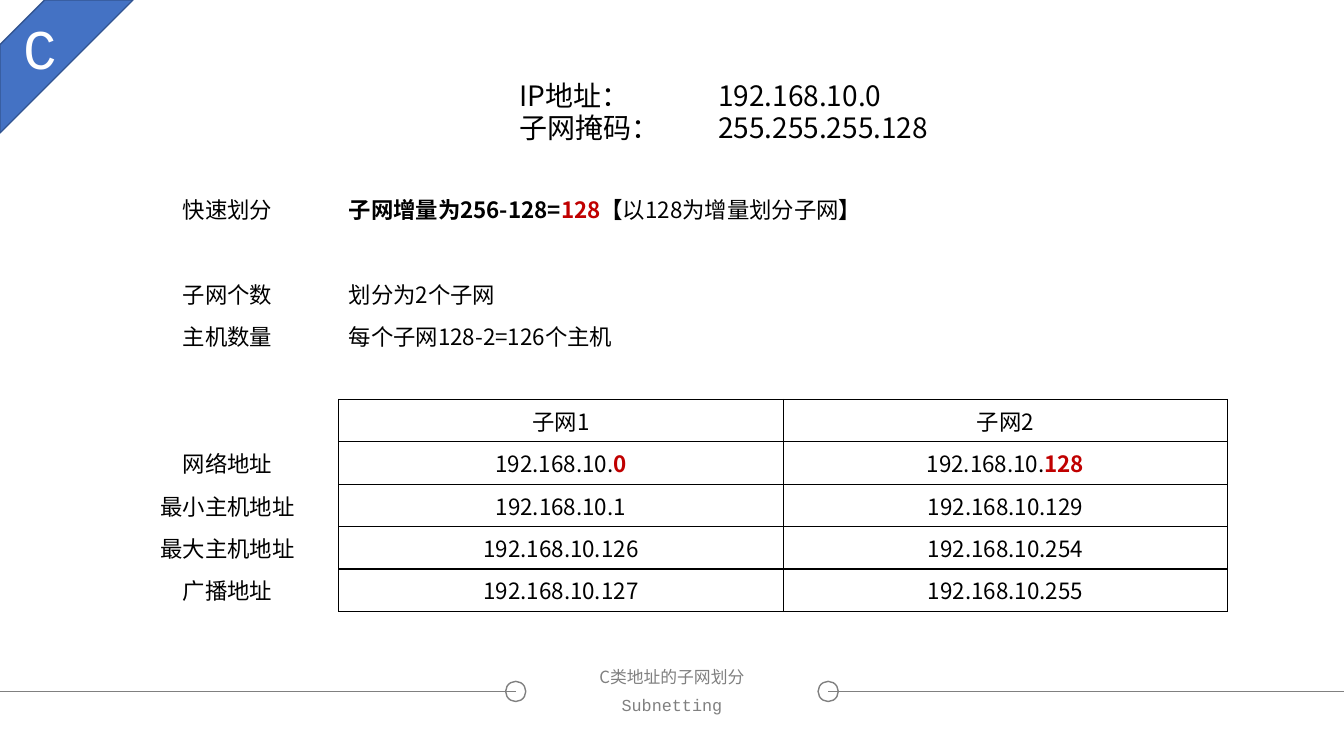
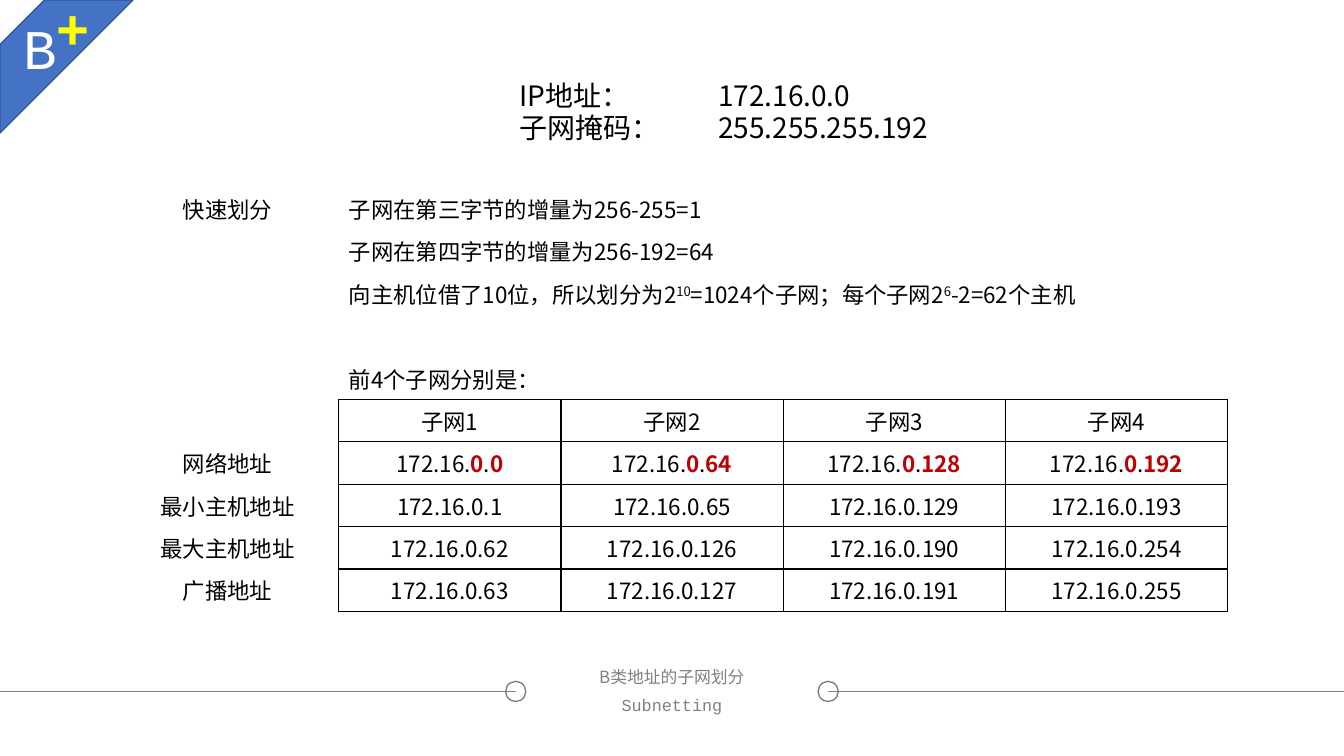
from dataclasses import dataclass

import pptx
import pptx.dml.color
import pptx.enum.dml
import pptx.enum.shapes
import pptx.enum.text
import pptx.oxml.ns
import pptx.presentation
import pptx.shapes.autoshape
import pptx.slide
import pptx.table
import pptx.text.text
import pptx.util
from lxml import etree

Pt = pptx.util.Pt
RGBColor = pptx.dml.color.RGBColor
ShapeType = pptx.enum.shapes.MSO_SHAPE
Align = pptx.enum.text.PP_ALIGN
Anchor = pptx.enum.text.MSO_ANCHOR
qn = pptx.oxml.ns.qn

BLACK = RGBColor(0x00, 0x00, 0x00)
WHITE = RGBColor(0xFF, 0xFF, 0xFF)
GRAY = RGBColor(0x80, 0x80, 0x80)
RED = RGBColor(0xC0, 0x00, 0x00)
YELLOW = RGBColor(0xFF, 0xFF, 0x00)
BLUE = RGBColor(0x44, 0x72, 0xC4)
DARK_BLUE = RGBColor(0x32, 0x54, 0x91)

TEXT_FONT = "Noto Sans CJK SC"
CODE_FONT = "Courier New"

SLIDE_WIDTH, SLIDE_HEIGHT = 960, 540
TABLE_LEFT, TABLE_TOP = 83.2, 134
COLUMN_WIDTH, ROW_HEIGHT = 158.75, 30.3
COLUMN_COUNT, ROW_COUNT = 5, 10
GRID_ROW = 5
ROW_LABELS = ("网络地址", "最小主机地址", "最大主机地址", "广播地址")


@dataclass(frozen=True)
class Span:
    text: str
    color: RGBColor = BLACK
    bold: bool = False
    superscript: bool = False


@dataclass(frozen=True)
class Note:
    row: int
    label: str
    spans: tuple[Span, ...]


@dataclass(frozen=True)
class SubnetSlide:
    letter: str
    plus: bool
    address: str
    mask: str
    increment: int
    subnet_count: int
    plain_octets: int
    notes: tuple[Note, ...]


SUBNET_SLIDES = (
    SubnetSlide("C", False, "192.168.10.0", "255.255.255.128", 128, 2, 3, (
        Note(0, "快速划分", (
            Span("子网增量为256-128=", bold=True),
            Span("128", RED, bold=True),
            Span("【", bold=True),
            Span("以128为增量划分子网"),
            Span("】", bold=True),
        )),
        Note(2, "子网个数", (Span("划分为2个子网"),)),
        Note(3, "主机数量", (Span("每个子网128-2=126个主机"),)),
    )),
    SubnetSlide("B", True, "172.16.0.0", "255.255.255.192", 64, 4, 2, (
        Note(0, "快速划分", (Span("子网在第三字节的增量为256-255=1"),)),
        Note(1, "", (Span("子网在第四字节的增量为256-192=64"),)),
        Note(2, "", (
            Span("向主机位借了10位，所以划分为2"),
            Span("10", superscript=True),
            Span("=1024个子网；每个子网2"),
            Span("6", superscript=True),
            Span("-2=62个主机"),
        )),
        Note(4, "", (Span("前4个子网分别是："),)),
    )),
)


def format_run(run: pptx.text.text._Run, size: float, color: RGBColor,
               font_name: str = TEXT_FONT, bold: bool = False) -> None:
    run.font.size = Pt(size)
    run.font.bold = bold
    run.font.color.rgb = color
    run.font.name = font_name
    properties = run._r.get_or_add_rPr()
    etree.SubElement(properties, qn("a:ea")).set("typeface", font_name)


def set_margins(text_frame: pptx.text.text.TextFrame, margin: float) -> None:
    text_frame.margin_left = text_frame.margin_right = Pt(margin)
    text_frame.margin_top = text_frame.margin_bottom = Pt(margin)


def fill_label(shape: pptx.shapes.autoshape.Shape, text: str, size: float,
               color: RGBColor, font_name: str, bold: bool = False) -> None:
    text_frame = shape.text_frame
    text_frame.text = text
    text_frame.word_wrap = True
    text_frame.auto_size = pptx.enum.text.MSO_AUTO_SIZE.NONE
    text_frame.vertical_anchor = Anchor.MIDDLE
    set_margins(text_frame, 0)
    paragraph = text_frame.paragraphs[0]
    paragraph.alignment = Align.CENTER
    paragraph.space_before = Pt(0)
    format_run(paragraph.runs[0], size, color, font_name, bold)


def add_footer(slide: pptx.slide.Slide, title_text: str) -> None:
    line_y, ring_size, ring_offset = 493.9, 14.4, 111.6
    center = SLIDE_WIDTH / 2
    for ring_x, edge_x in ((center - ring_offset, 0),
                           (center + ring_offset, SLIDE_WIDTH)):
        ring = slide.shapes.add_shape(
            ShapeType.OVAL, Pt(ring_x - ring_size / 2),
            Pt(line_y - ring_size / 2), Pt(ring_size), Pt(ring_size))
        ring.shadow.inherit = False
        ring.fill.background()
        ring.line.color.rgb = GRAY
        ring.line.width = Pt(1)
        rule = slide.shapes.add_connector(
            pptx.enum.shapes.MSO_CONNECTOR.STRAIGHT,
            Pt(ring_x), Pt(line_y), Pt(edge_x), Pt(line_y))
        rule.line.color.rgb = GRAY
        rule.line.width = Pt(0.5)
        etree.SubElement(rule._element.spPr, qn("a:effectLst"))

    title = slide.shapes.title
    title.left, title.top = Pt(375), Pt(473.2)
    title.width, title.height = Pt(210), Pt(20)
    fill_label(title, title_text, 12, GRAY, TEXT_FONT)
    subtitle = slide.shapes.add_textbox(Pt(375), Pt(494), Pt(210), Pt(19.4))
    fill_label(subtitle, "Subnetting", 12, GRAY, CODE_FONT)


def add_badge(slide: pptx.slide.Slide, content: SubnetSlide) -> None:
    stripe = slide.shapes.add_shape(
        ShapeType.DIAGONAL_STRIPE, Pt(0), Pt(0), Pt(95), Pt(95))
    stripe.adjustments[0] = 0.336
    stripe.shadow.inherit = False
    stripe.fill.solid()
    stripe.fill.fore_color.rgb = BLUE
    stripe.line.color.rgb = DARK_BLUE
    stripe.line.width = Pt(1)
    letter = slide.shapes.add_textbox(Pt(9.4), Pt(5.8), Pt(38.9), Pt(55.4))
    fill_label(letter, content.letter, 40, WHITE, CODE_FONT)
    if content.plus:
        plus = slide.shapes.add_textbox(Pt(32.4), Pt(-8.6), Pt(38.9), Pt(55.4))
        fill_label(plus, "+", 40, YELLOW, CODE_FONT, bold=True)


def add_address_header(slide: pptx.slide.Slide, content: SubnetSlide) -> None:
    header = slide.shapes.add_textbox(Pt(364), Pt(52.8), Pt(315), Pt(55.4))
    text_frame = header.text_frame
    text_frame.word_wrap = True
    text_frame.text = (f"IP地址：\t{content.address}\n"
                       f"子网掩码：\t{content.mask}")
    for paragraph in text_frame.paragraphs:
        paragraph.line_spacing = Pt(23.4)
        tabs = etree.SubElement(paragraph._p.get_or_add_pPr(), qn("a:tabLst"))
        tab = etree.SubElement(tabs, qn("a:tab"))
        tab.set("pos", str(int(Pt(141.8))))
        tab.set("algn", "l")
        for run in paragraph.runs:
            format_run(run, 20, BLACK)


def fill_cell(cell: pptx.table._Cell, spans: tuple[Span, ...],
              alignment: Align = Align.CENTER) -> None:
    paragraph = cell.text_frame.paragraphs[0]
    paragraph.alignment = alignment
    for span in spans:
        run = paragraph.add_run()
        run.text = span.text
        format_run(run, 16, span.color, bold=span.bold)
        if span.superscript:
            run._r.get_or_add_rPr().set("baseline", "30000")


def in_grid(row: int, column: int) -> bool:
    return row >= GRID_ROW and column >= 1


def style_cell(cell: pptx.table._Cell, row: int, column: int) -> None:
    neighbors = {"L": (row, column - 1), "R": (row, column + 1),
                 "T": (row - 1, column), "B": (row + 1, column)}
    properties = cell._tc.get_or_add_tcPr()
    for side, neighbor in neighbors.items():
        border = etree.SubElement(properties, qn(f"a:ln{side}"))
        border.set("w", str(int(Pt(1))))
        if in_grid(row, column) or in_grid(*neighbor):
            fill = etree.SubElement(border, qn("a:solidFill"))
            etree.SubElement(fill, qn("a:srgbClr")).set("val", str(BLACK))
        else:
            etree.SubElement(border, qn("a:noFill"))
    cell.fill.background()
    cell.vertical_anchor = Anchor.MIDDLE


def network_spans(octets: list[str], plain_octets: int) -> tuple[Span, ...]:
    spans = [Span(".".join(octets[:plain_octets]))]
    for octet in octets[plain_octets:]:
        spans += [Span("."), Span(octet, RED, bold=True)]
    return tuple(spans)


def add_subnet_table(slide: pptx.slide.Slide, content: SubnetSlide) -> None:
    table = slide.shapes.add_table(
        ROW_COUNT, COLUMN_COUNT, Pt(TABLE_LEFT), Pt(TABLE_TOP),
        Pt(COLUMN_WIDTH * COLUMN_COUNT), Pt(ROW_HEIGHT * ROW_COUNT)).table
    table.first_row = False
    table.horz_banding = False
    for column in table.columns:
        column.width = Pt(COLUMN_WIDTH)
    for row_index, row in enumerate(table.rows):
        row.height = Pt(ROW_HEIGHT)
        for column_index, cell in enumerate(row.cells):
            style_cell(cell, row_index, column_index)

    last_column = COLUMN_COUNT - 1
    for note in content.notes:
        note_cell = table.cell(note.row, 1)
        note_cell.merge(table.cell(note.row, last_column))
        fill_cell(note_cell, note.spans, Align.LEFT)
        if note.label:
            fill_cell(table.cell(note.row, 0), (Span(note.label),))
    for row_index, label in enumerate(ROW_LABELS, GRID_ROW + 1):
        fill_cell(table.cell(row_index, 0), (Span(label),))

    column_span = last_column // content.subnet_count
    prefix = content.address.split(".")[:3]
    for index in range(content.subnet_count):
        column_index = 1 + index * column_span
        start = index * content.increment
        end = start + content.increment - 1
        hosts = [(Span(".".join([*prefix, str(host)])),)
                 for host in (start + 1, end - 1, end)]
        entries = [(Span(f"子网{index + 1}"),),
                   network_spans([*prefix, str(start)], content.plain_octets),
                   *hosts]
        for row_index, spans in enumerate(entries, GRID_ROW):
            cell = table.cell(row_index, column_index)
            if column_span > 1:
                cell.merge(table.cell(row_index, column_index + column_span - 1))
            fill_cell(cell, spans)


def add_subnet_slide(presentation: pptx.presentation.Presentation,
                     content: SubnetSlide) -> None:
    slide = presentation.slides.add_slide(presentation.slide_layouts[5])
    add_footer(slide, f"{content.letter}类地址的子网划分")
    add_subnet_table(slide, content)
    add_address_header(slide, content)
    add_badge(slide, content)


def main() -> None:
    presentation = pptx.Presentation()
    presentation.slide_width = Pt(SLIDE_WIDTH)
    presentation.slide_height = Pt(SLIDE_HEIGHT)
    for content in SUBNET_SLIDES:
        add_subnet_slide(presentation, content)
    presentation.save("out.pptx")


if __name__ == "__main__":
    main()
